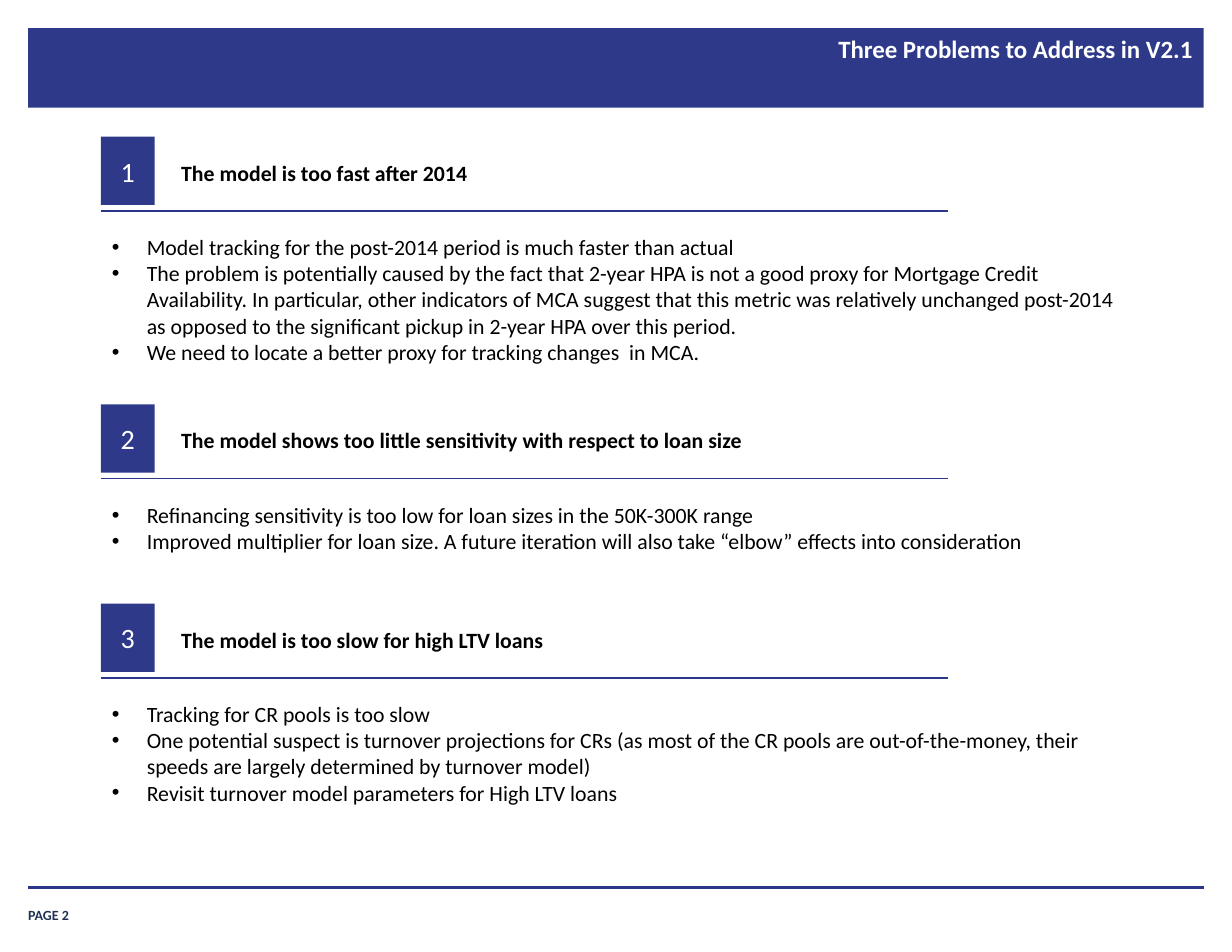
from lxml import etree
from pptx import Presentation
from pptx.dml.color import RGBColor
from pptx.enum.shapes import MSO_CONNECTOR, MSO_SHAPE
from pptx.enum.text import MSO_ANCHOR, MSO_AUTO_SIZE, PP_ALIGN
from pptx.oxml.ns import qn
from pptx.util import Cm, Pt

RECTANGLE = MSO_SHAPE.RECTANGLE
STRAIGHT = MSO_CONNECTOR.STRAIGHT
TOP, MIDDLE, BOTTOM = MSO_ANCHOR.TOP, MSO_ANCHOR.MIDDLE, MSO_ANCHOR.BOTTOM
LEFT, CENTER, RIGHT = PP_ALIGN.LEFT, PP_ALIGN.CENTER, PP_ALIGN.RIGHT
NO_AUTOFIT = MSO_AUTO_SIZE.NONE

FONT = "Calibri"
BLUE, RULE_BLUE, PAGE_BLUE = "2E398A", "2B3689", "203353"
WHITE, BLACK = "FFFFFF", "000000"

MARGIN = 0.64
PAGE_RIGHT = 27.3
SECTION_LEFT = 2.29
BULLET_INDENT = Cm(0.79)

# Top and heading width in cm, heading, bullet points, height of the points
SECTIONS = [
    (3.1, 11.3, "The model is too fast after 2014", [
        "Model tracking for the post-2014 period is much faster than actual",
        "The problem is potentially caused by the fact that 2-year HPA is not a good proxy "
        "for Mortgage Credit Availability. In particular, other indicators of MCA suggest "
        "that this metric was relatively unchanged post-2014 as opposed to the significant "
        "pickup in 2-year HPA over this period.",
        "We need to locate a better proxy for tracking changes  in MCA.",
    ], 3.25),
    (9.17, 13.97, "The model shows too little sensitivity with respect to loan size", [
        "Refinancing sensitivity is too low for loan sizes in the 50K-300K range",
        "Improved multiplier for loan size. A future iteration will also take “elbow” "
        "effects into consideration",
    ], 1.45),
    (13.69, 11.3, "The model is too slow for high LTV loans", [
        "Tracking for CR pools is too slow",
        "One potential suspect is turnover projections for CRs (as most of the CR pools are "
        "out-of-the-money, their speeds are largely determined by turnover model)",
        "Revisit turnover model parameters for High LTV loans",
    ], 2.64),
]


def rgb(color):
    return RGBColor.from_string(color)


def style(paragraph, size, color, bold=False, align=LEFT):
    paragraph.alignment = align
    font = paragraph.font
    font.name, font.size, font.bold = FONT, Pt(size), bold
    font.color.rgb = rgb(color)


def set_insets(frame, horizontal, vertical):
    frame.margin_left = frame.margin_right = Cm(horizontal)
    frame.margin_top = frame.margin_bottom = Cm(vertical)


def add_block(shapes, left, top, width, height):
    block = shapes.add_shape(RECTANGLE, Cm(left), Cm(top), Cm(width), Cm(height))
    block.shadow.inherit = False
    block.fill.solid()
    block.fill.fore_color.rgb = rgb(BLUE)
    block.line.fill.background()
    return block


def add_rule(shapes, left, right, y, weight):
    rule = shapes.add_connector(STRAIGHT, Cm(left), Cm(y), Cm(right), Cm(y))
    rule.line.color.rgb = rgb(RULE_BLUE)
    rule.line.width = Pt(weight)
    etree.SubElement(rule._element.spPr, qn("a:effectLst"))


def add_text(shapes, left, top, width, height, lines):
    frame = shapes.add_textbox(Cm(left), Cm(top), Cm(width), Cm(height)).text_frame
    frame.word_wrap = True
    frame.text = "\n".join(lines)
    return frame


def add_bullet(paragraph):
    properties = paragraph._p.get_or_add_pPr()
    properties.set("marL", str(BULLET_INDENT))
    properties.set("indent", str(-BULLET_INDENT))
    etree.SubElement(properties, qn("a:buFont")).set("typeface", "Arial")
    etree.SubElement(properties, qn("a:buChar")).set("char", "•")


def add_title(slide, text):
    """Lay the title over the band at the top of the page."""
    add_block(slide.shapes, MARGIN, MARGIN, PAGE_RIGHT - MARGIN, 1.8)
    title = slide.shapes.title
    slide.shapes._spTree.append(title._element)
    title.left, title.top, title.width, title.height = Cm(8.43), Cm(0.61), Cm(18.9), Cm(1.88)
    frame = title.text_frame
    frame.text = text
    frame.vertical_anchor = TOP
    frame.auto_size = NO_AUTOFIT
    set_insets(frame, 0.28, 0.15)
    style(frame.paragraphs[0], 16, WHITE, bold=True, align=RIGHT)


def add_footer(shapes, text):
    add_rule(shapes, MARGIN, PAGE_RIGHT, 20.12, 2)
    frame = add_text(shapes, MARGIN, 20.37, 2.31, 0.58, [text])
    frame.vertical_anchor = BOTTOM
    set_insets(frame, 0, 0)
    style(frame.paragraphs[0], 9, PAGE_BLUE, bold=True)


def add_section(slide, number, top, heading_width, heading, points, points_height):
    shapes = slide.shapes.add_group_shape().shapes
    badge = add_block(shapes, SECTION_LEFT, top, 1.22, 1.55).text_frame
    badge.text = str(number)
    badge.vertical_anchor = MIDDLE
    style(badge.paragraphs[0], 18, WHITE, align=CENTER)

    add_rule(shapes, SECTION_LEFT, 21.49, top + 1.68, 1)
    heading_frame = add_text(shapes, 3.86, top + 0.39, heading_width, 0.86, [heading])
    style(heading_frame.paragraphs[0], 14, BLACK, bold=True)

    points_frame = add_text(shapes, SECTION_LEFT, top + 2.08, 23.75, points_height, points)
    for paragraph in points_frame.paragraphs:
        add_bullet(paragraph)
        style(paragraph, 14, BLACK)


def main():
    presentation = Presentation()
    presentation.slide_width, presentation.slide_height = Cm(27.94), Cm(21.59)
    slide = presentation.slides.add_slide(presentation.slide_layouts[5])
    add_title(slide, "Three Problems to Address in V2.1")
    add_footer(slide.shapes, "PAGE 2")
    for number, section in enumerate(SECTIONS, start=1):
        add_section(slide, number, *section)
    presentation.save("out.pptx")


if __name__ == "__main__":
    main()
